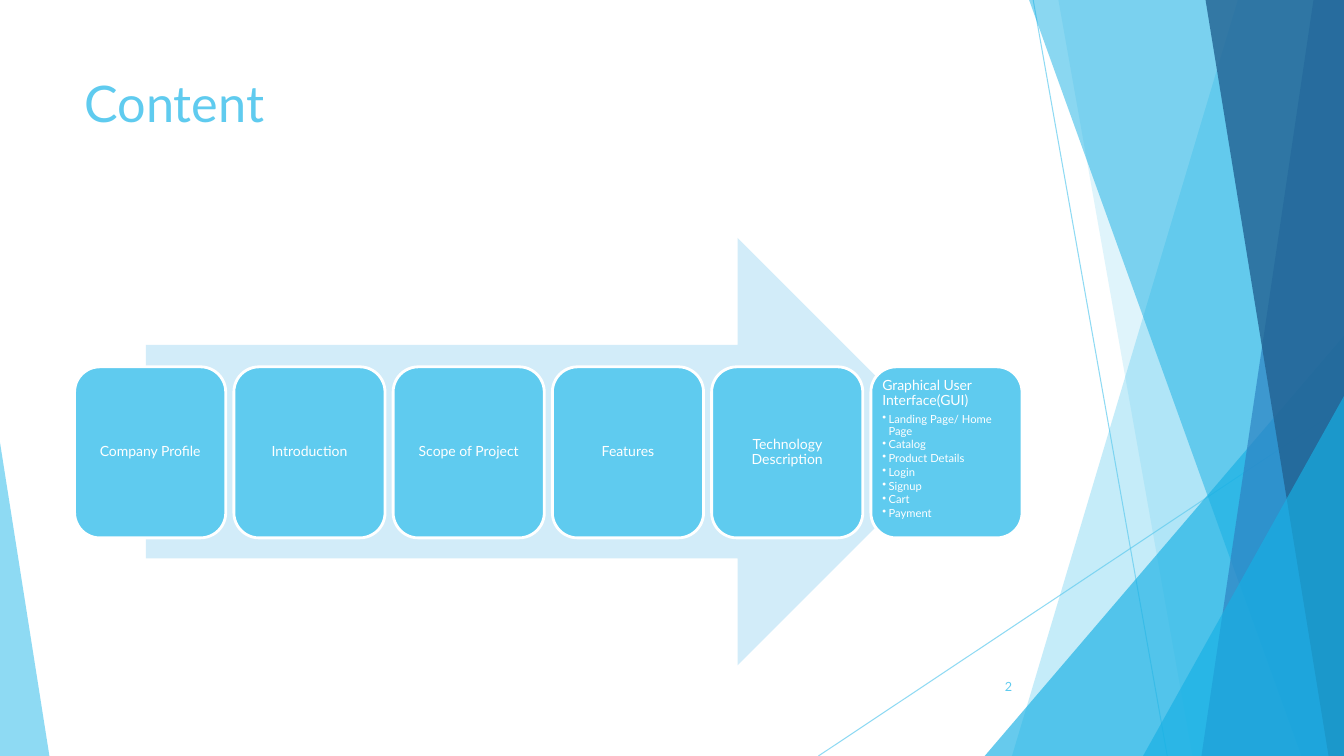
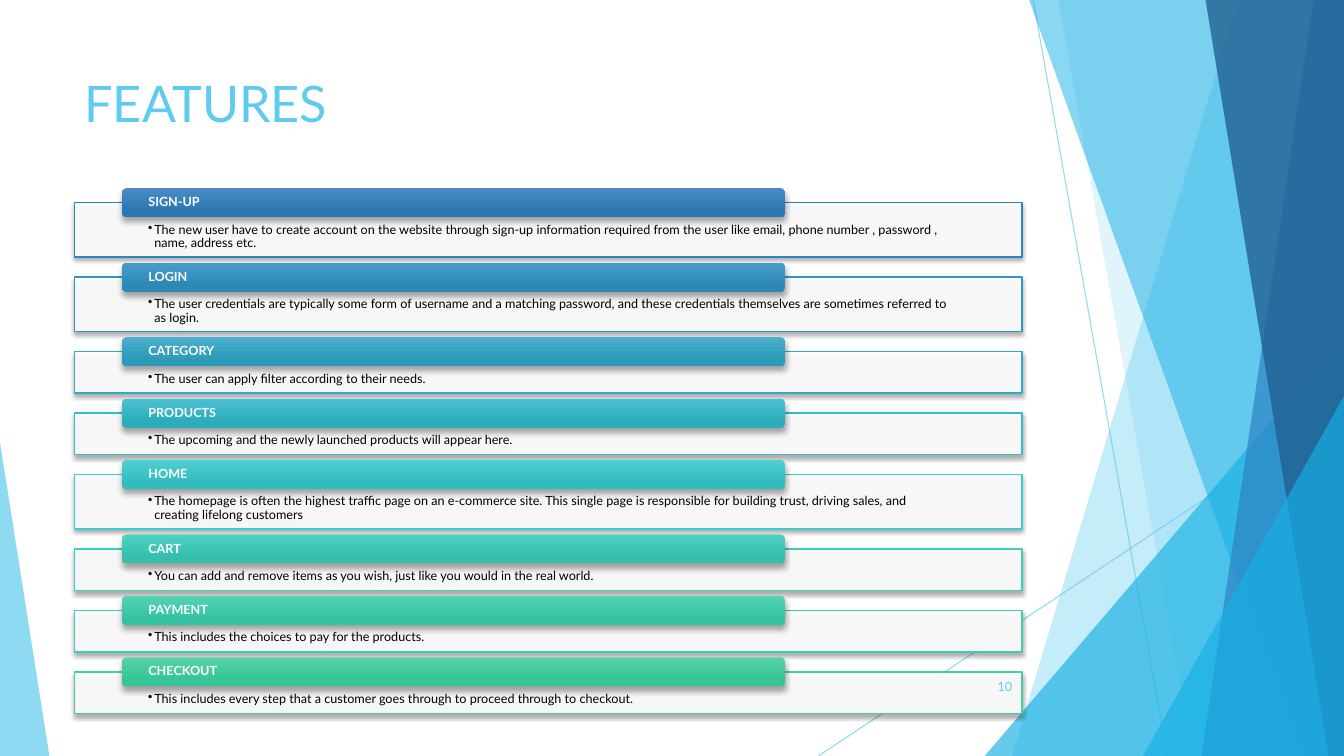
from lxml.etree import SubElement as Sub
from pptx import Presentation
from pptx.dml.color import RGBColor as RGB
from pptx.enum.shapes import MSO_CONNECTOR as Link, MSO_SHAPE as Form
from pptx.enum.text import MSO_ANCHOR as Anchor, PP_ALIGN as Align
from pptx.oxml.ns import qn
from pptx.util import Pt

WIDE, HIGH = 960, 540
LEFT, SPAN = 53.3, 676.8
FONT = "Lato"
COLORS = {
    "white": "FFFFFF", "black": "000000", "sky": "5FCBEF", "cyan": "17B0E4",
    "blue": "2E83C3", "navy": "226292", "pale": "D2ECF9",
}
# Outline, tag top and tag base of each feature
TINTS = {
    "SIGN-UP": ("2E83C3", "4A8BC6", "2A78B2"),
    "LOGIN": ("2F96C7", "4B9CC9", "2B89B6"),
    "CATEGORY": ("30A9CA", "4CAECD", "2C9BB9"),
    "PRODUCTS": ("32BDCD", "4CC0D0", "2DADBC"),
    "HOME": ("36CECE", "4FD0D0", "31BDBC"),
    "CART": ("3ACFBF", "51D1C2", "34BFAF"),
    "PAYMENT": ("3ECFB0", "54D2B4", "35C2A3"),
    "CHECKOUT": ("42D0A2", "56D2A7", "36C596"),
}
# Label, text and number of text lines
FEATURES = [
    ("SIGN-UP", "The new user have to create account on the website through "
     "sign-up information required from the user like email, phone number , "
     "password , name, address etc.", 2),
    ("LOGIN", "The user credentials are typically some form of username and a "
     "matching password, and these credentials themselves are sometimes "
     "referred to as login.", 2),
    ("CATEGORY", "The user can apply filter according to their needs.", 1),
    ("PRODUCTS", "The upcoming and the newly launched products will appear "
     "here.", 1),
    ("HOME", "The homepage is often the highest traffic page on an e-commerce "
     "site. This single page is responsible for building trust, driving "
     "sales, and creating lifelong customers", 2),
    ("CART", "You can add and remove items as you wish, just like you would "
     "in the real world.", 1),
    ("PAYMENT", "This includes the choices to pay for the products.", 1),
    ("CHECKOUT", "This includes every step that a customer goes through to "
     "proceed through to checkout.", 1),
]
STEPS = ["Company Profile", "Introduction", "Scope of Project", "Features",
         "Technology Description"]
PAGES = ["Landing Page/ Home Page", "Catalog", "Product Details", "Login",
         "Signup", "Cart", "Payment"]
# Top x, bottom x, colour and opacity of the bands on the right
BANDS = [
    (884.2, 722.9, "sky", 36), (756, 851.8, "sky", 20),
    (735.1, 929.5, "cyan", 50), (938.2, 858.2, "blue", 70),
    (861.1, 949, "navy", 80),
]


def rgb(code):
    return RGB.from_string(code)


def fade(shape, alpha):
    """Give every colour set so far on the shape an opacity in percent."""
    for node in shape.element.spPr.iter(qn("a:srgbClr")):
        Sub(node, qn("a:alpha"), val=str(alpha * 1000))


def paint(shape, code, alpha=100):
    shape.shadow.inherit = False
    shape.fill.solid()
    shape.fill.fore_color.rgb = rgb(code)
    if alpha < 100:
        fade(shape, alpha)
    shape.line.fill.background()


def edge(shape, code, width):
    shape.line.color.rgb = rgb(code)
    shape.line.width = Pt(width)


def shade(shape, blur, dist):
    """Drop a soft shadow straight down."""
    shape.shadow.inherit = False
    effects = shape.element.spPr.find(qn("a:effectLst"))
    drop = Sub(effects, qn("a:outerShdw"), blurRad=str(Pt(blur)),
               dist=str(Pt(dist)), dir="5400000", rotWithShape="0")
    tone = Sub(drop, qn("a:srgbClr"), val=COLORS["black"])
    Sub(tone, qn("a:alpha"), val="35000")


def add(slide, form, x, y, w, h):
    return slide.shapes.add_shape(form, Pt(x), Pt(y), Pt(w), Pt(h))


def frame(shape, anchor, pads):
    """Set up the text frame; pads are left, top, right, bottom."""
    text = shape.text_frame
    text.word_wrap = True
    text.vertical_anchor = anchor
    (text.margin_left, text.margin_top,
     text.margin_right, text.margin_bottom) = map(Pt, pads)
    return text


def write(para, words, size, color, align=Align.LEFT, bold=False):
    para.alignment = align
    run = para.add_run()
    run.text = words
    run.font.name = FONT
    run.font.size = Pt(size)
    run.font.bold = bold
    run.font.color.rgb = rgb(COLORS[color])


def tight(para, after=0):
    para.line_spacing = 0.9
    para.space_after = Pt(after)


def bullet(para, words, size, color):
    props = para._p.get_or_add_pPr()
    props.set("marL", str(Pt(4.5)))
    props.set("indent", str(Pt(-4.5)))
    Sub(props, qn("a:buChar"), char="•")
    tight(para, size * 0.15)
    write(para, words, size, color)


def label(slide, place, words, size, anchor, align):
    box = slide.shapes.add_textbox(*map(Pt, place))
    text = frame(box, anchor, (7.2, 3.6, 7.2, 3.6))
    write(text.paragraphs[0], words, size, "sky", align)


def thread(slide, *ends):
    line = slide.shapes.add_connector(Link.STRAIGHT, *map(Pt, ends))
    edge(line, COLORS["sky"], 0.75)
    fade(line, 70)
    Sub(line.element.spPr, qn("a:effectLst"))


def band(slide, top, base, color, alpha):
    """Fill from a slanted left side to the right edge of the slide."""
    pen = slide.shapes.build_freeform(Pt(top), 0)
    pen.add_line_segments([(Pt(WIDE), 0), (Pt(WIDE), Pt(HIGH)),
                           (Pt(base), Pt(HIGH))])
    paint(pen.convert_to_shape(), COLORS[color], alpha)


def wedge(slide, x, y, w, tip, color, alpha):
    """Stand a triangle on the bottom edge, its tip at 0 (left) or 1."""
    shape = add(slide, Form.ISOSCELES_TRIANGLE, x, y, w, HIGH - y)
    shape.adjustments[0] = tip
    paint(shape, COLORS[color], alpha)


def decor(slide):
    thread(slide, 738, 0, 833.8, HIGH)
    thread(slide, WIDE, 290.2, 584.6, HIGH)
    for item in BANDS[:2]:
        band(slide, *item)
    wedge(slide, 703.4, 239.8, 256.6, 1, "cyan", 66)
    for item in BANDS[2:]:
        band(slide, *item)
    wedge(slide, 816.5, 283, 143.5, 1, "cyan", 66)
    wedge(slide, 0, 316.1, 35.3, 0, "sky", 70)


def step(slide, spot, anchor):
    """Add the rounded box at one spot of the row; return its text frame."""
    box = add(slide, Form.ROUNDED_RECTANGLE, LEFT + 113.76 * spot, 262,
              108, 122.2)
    paint(box, COLORS["sky"])
    edge(box, COLORS["white"], 2)
    return frame(box, anchor, (2.9,) * 4)


def content(slide):
    arrow = add(slide, Form.RIGHT_ARROW, 104.2, 170, 575.3, 305.3)
    paint(arrow, COLORS["pale"])
    for spot, words in enumerate(STEPS):
        para = step(slide, spot, Anchor.MIDDLE).paragraphs[0]
        tight(para)
        write(para, words, 10, "white", Align.CENTER)
    text = step(slide, len(STEPS), Anchor.TOP)
    tight(text.paragraphs[0], 3.5)
    write(text.paragraphs[0], "Graphical User Interface(GUI)", 10, "white")
    for words in PAGES:
        bullet(text.add_paragraph(), words, 8, "white")


def panel(slide, y, high, words, code):
    box = add(slide, Form.RECTANGLE, LEFT, y, SPAN, high)
    paint(box, COLORS["white"], 90)
    edge(box, code, 1)
    shade(box, 3, 2)
    text = frame(box, Anchor.TOP, (52.5, 14.6, 52.5, 5))
    bullet(text.paragraphs[0], words, 9, "black")


def tag(slide, y, words, top, base):
    box = add(slide, Form.ROUNDED_RECTANGLE, 87.1, y, 473.8, 20.7)
    box.fill.gradient()
    box.fill.gradient_angle = 270
    for stop, code, spot in zip(box.fill.gradient_stops, (top, base),
                                (0, 0.78)):
        stop.color.rgb = rgb(code)
        stop.position = spot
    box.line.fill.background()
    shade(box, 4, 3)
    para = frame(box, Anchor.MIDDLE, (17.9, 0, 17.9, 0)).paragraphs[0]
    tight(para)
    write(para, words, 9, "white", bold=True)


def features(slide):
    y = 144.8
    for name, words, lines in FEATURES:
        line, top, base = TINTS[name]
        high = 20.3 + 9.3 * lines
        panel(slide, y, high, words, line)
        tag(slide, y - 10.4, name, top, base)
        y += high + 14.3


def main():
    deck = Presentation()
    deck.slide_width, deck.slide_height = Pt(WIDE), Pt(HIGH)
    for title, number, body in (("Content", "2", content),
                                ("FEATURES", "10", features)):
        slide = deck.slides.add_slide(deck.slide_layouts[6])
        decor(slide)
        label(slide, (LEFT, 48, SPAN, 104), title, 36, Anchor.TOP, Align.LEFT)
        body(slide)
        label(slide, (676, 476, 54, 28.8), number, 9, Anchor.MIDDLE,
              Align.RIGHT)
    deck.save("out.pptx")


if __name__ == "__main__":
    main()
